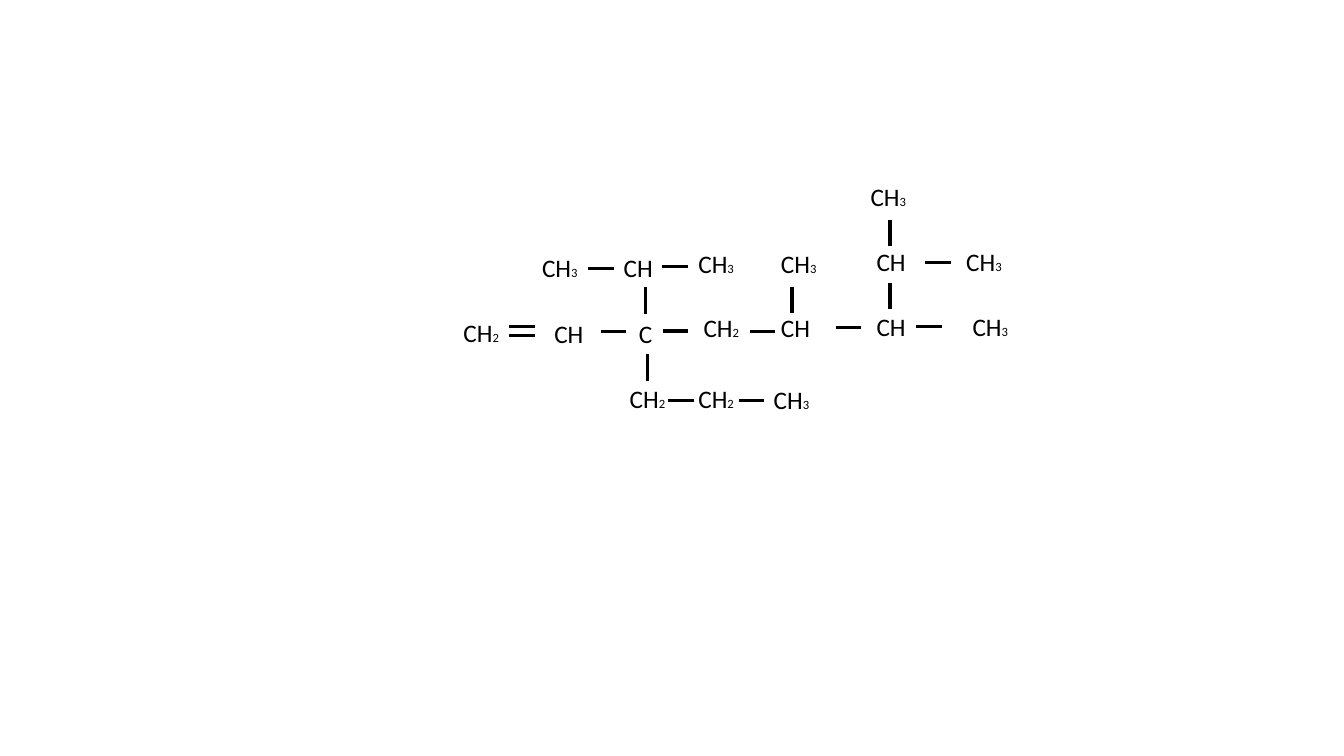
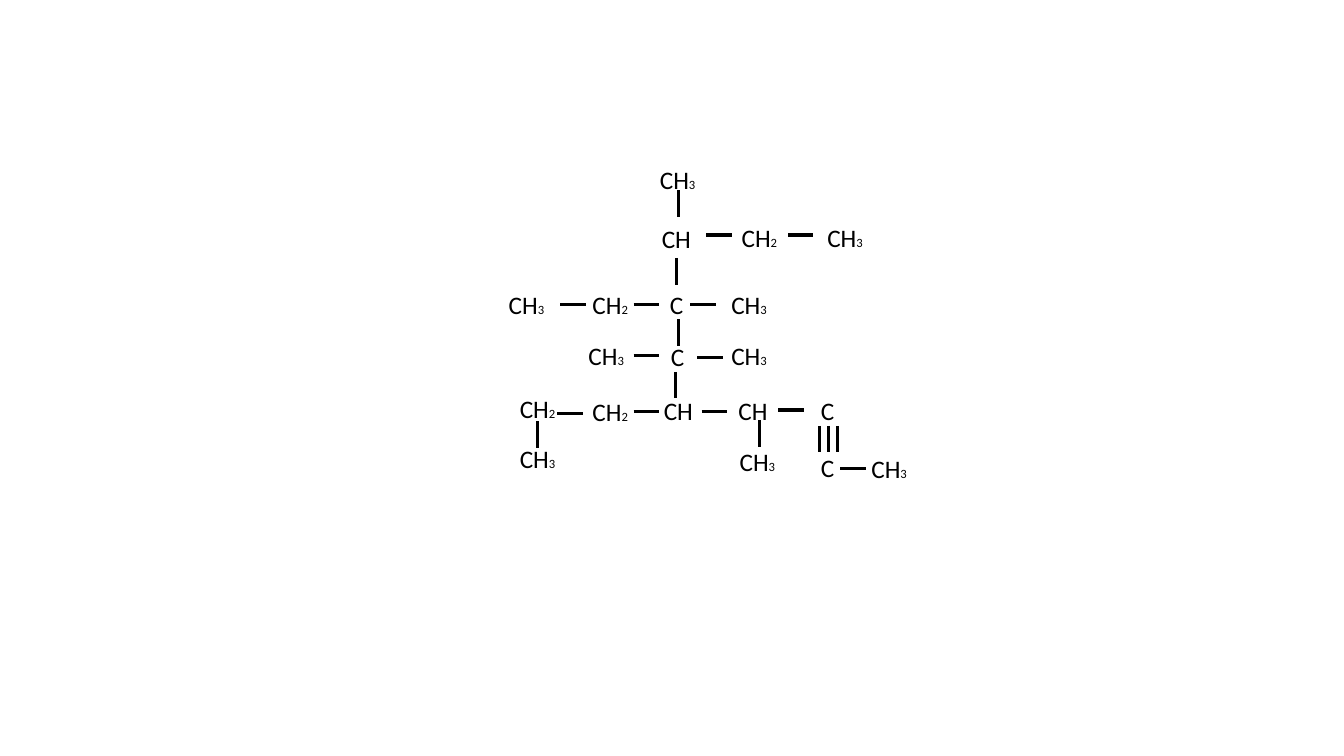
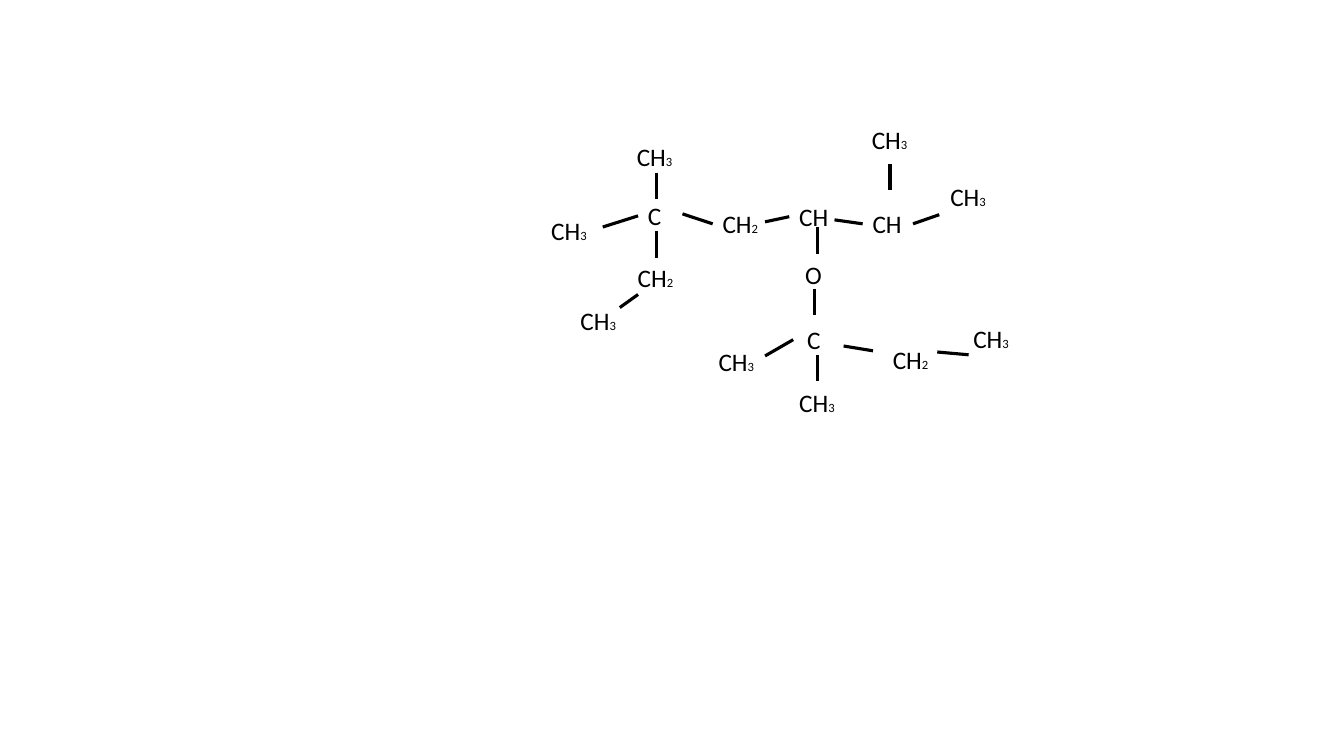
from dataclasses import dataclass

from lxml.etree import SubElement
from pptx import Presentation
from pptx.dml.color import RGBColor
from pptx.enum.shapes import MSO_CONNECTOR
from pptx.enum.text import MSO_AUTO_SIZE as AutoSize
from pptx.oxml.ns import qn
from pptx.util import Cm, Pt

BLACK = RGBColor(0x00, 0x00, 0x00)
WHITE = RGBColor(0xFF, 0xFF, 0xFF)
FONT = "Calibri"
SYMBOL_SIZE, COUNT_SIZE = Pt(18), Pt(9)
BOND_WEIGHT = Pt(2.25)
ACROSS, DOWN = 0.64, 0.67  # bond lengths in cm
BOND_GAP = 0.23  # between the strokes of a multiple bond
GROUP_HEIGHT = 1.02
GROUP_WIDTHS = {"C": 0.86, "O": 0.94, "CH": 1.24, "CH2": 1.42, "CH3": 1.42}


@dataclass
class Molecule:
    """Positions are in cm from the corner of the molecule's box.

    across and down list (x, y) or (x, y, bond order); slanted lists both ends.
    """
    corner: tuple
    groups: dict
    across: list
    down: list
    slanted: tuple = ()


ALKENE = Molecule(
    corner=(11.43, 4.45),
    groups={
        "C": [(4.42, 3.45)],
        "CH": [(4.04, 1.78), (10.41, 1.63),
               (2.29, 3.45), (8, 3.3), (10.41, 3.28)],
        "CH2": [(0, 3.43), (6.05, 3.3), (4.19, 5.08), (5.92, 5.08)],
        "CH3": [(10.26, 0), (1.98, 1.78), (5.92, 1.68), (8, 1.68),
                (12.67, 1.63), (12.83, 3.28), (7.82, 5.11)],
    },
    across=[(3.4, 2.31), (5.26, 2.26), (11.89, 2.16),
            (1.4, 3.78, 2), (3.71, 3.91), (5.28, 3.89),
            (7.47, 3.91), (9.63, 3.81), (11.66, 3.78),
            (5.41, 5.64), (7.19, 5.64)],
    down=[(11, 1.09), (11, 2.67), (8.53, 2.77), (4.83, 2.79), (4.88, 4.47)],
)

ALKYNE = Molecule(
    corner=(12.57, 4.01),
    groups={
        "C": [(4.06, 3.15), (4.09, 4.47), (7.87, 5.82), (7.87, 7.26)],
        "CH": [(3.86, 1.5), (3.91, 5.82), (5.79, 5.82)],
        "CH2": [(5.87, 1.47), (2.11, 3.15), (0.28, 5.77), (2.11, 5.84)],
        "CH3": [(3.81, 0), (8.03, 1.47), (0, 3.15), (5.61, 3.15),
                (2.01, 4.45), (5.61, 4.45), (0.28, 7.04), (5.82, 7.11),
                (9.14, 7.29)],
    },
    across=[(5.23, 1.91), (7.29, 1.91),
            (1.55, 3.66), (3.4, 3.66), (4.83, 3.66),
            (3.4, 4.95), (5, 5),
            (1.47, 6.4), (3.4, 6.35), (5.11, 6.35), (7.04, 6.32),
            (8.61, 7.8)],
    down=[(4.52, 0.79), (4.47, 2.49), (4.52, 4.04), (4.45, 5.36),
          (0.97, 6.6), (6.58, 6.58), (8.08, 6.72, 3)],
)

ETHER = Molecule(
    corner=(13.64, 3),
    groups={
        "C": [(2.44, 1.93), (6.45, 5.05)],
        "O": [(6.4, 3.4)],
        "CH": [(6.25, 1.96), (8.1, 2.13)],
        "CH2": [(4.32, 2.13), (2.18, 3.48), (8.61, 5.56)],
        "CH3": [(8.08, 0), (2.16, 0.43), (10.06, 1.45), (0, 2.31),
                (0.74, 4.57), (10.64, 5.03), (4.22, 5.59), (6.25, 6.63)],
    },
    across=[],
    down=[(8.79, 1.12), (2.9, 1.35), (2.9, 2.82), (6.96, 2.72),
          (6.88, 4.27), (6.96, 5.94)],
    slanted=((1.55, 2.72, 2.44, 2.44), (3.56, 2.39, 4.32, 2.64),
             (5.64, 2.59, 6.25, 2.46), (7.39, 2.54, 8.1, 2.64),
             (9.37, 2.64, 10.03, 2.41), (1.98, 4.75, 2.44, 4.42),
             (5.64, 5.97, 6.35, 5.56), (7.62, 5.72, 8.36, 5.84),
             (9.98, 5.87, 10.77, 5.94)),
)


def add_group(slide, formula, left, top):
    """Write an atom group, its hydrogen count in small type."""
    label = slide.shapes.add_textbox(
        Cm(left), Cm(top), Cm(GROUP_WIDTHS[formula]), Cm(GROUP_HEIGHT))
    frame = label.text_frame
    frame.word_wrap = False
    frame.auto_size = AutoSize.SHAPE_TO_FIT_TEXT
    symbols = formula.rstrip("23")
    count = formula[len(symbols):]
    for text, size in ((symbols, SYMBOL_SIZE), (count, COUNT_SIZE)):
        if text:
            run = frame.paragraphs[0].add_run()
            run.text = text
            run.font.name = FONT
            run.font.size = size
            run.font.color.rgb = BLACK


def add_bond(slide, x1, y1, x2, y2):
    bond = slide.shapes.add_connector(
        MSO_CONNECTOR.STRAIGHT, Cm(x1), Cm(y1), Cm(x2), Cm(y2))
    bond.line.color.rgb = BLACK
    bond.line.width = BOND_WEIGHT
    SubElement(bond.element.spPr, qn("a:effectLst"))


def strokes(molecule):
    """Yield the ends of every bond stroke, relative to the molecule's box."""
    for x, y, *order in molecule.across:
        for i in range(order[0] if order else 1):
            yield x, y + i * BOND_GAP, x + ACROSS, y + i * BOND_GAP
    for x, y, *order in molecule.down:
        for i in range(order[0] if order else 1):
            yield x + i * BOND_GAP, y, x + i * BOND_GAP, y + DOWN
    yield from molecule.slanted


def draw_molecule(slide, molecule):
    left, top = molecule.corner
    for x1, y1, x2, y2 in strokes(molecule):
        add_bond(slide, left + x1, top + y1, left + x2, top + y2)
    for formula, places in molecule.groups.items():
        for x, y in places:
            add_group(slide, formula, left + x, top + y)


def main():
    deck = Presentation()
    deck.slide_width, deck.slide_height = Cm(33.87), Cm(19.05)
    background = deck.slide_master.background.fill
    background.solid()
    background.fore_color.rgb = WHITE
    for molecule in (ALKENE, ALKYNE, ETHER):
        slide = deck.slides.add_slide(deck.slide_layouts[6])
        draw_molecule(slide, molecule)
    deck.save("out.pptx")


if __name__ == "__main__":
    main()
